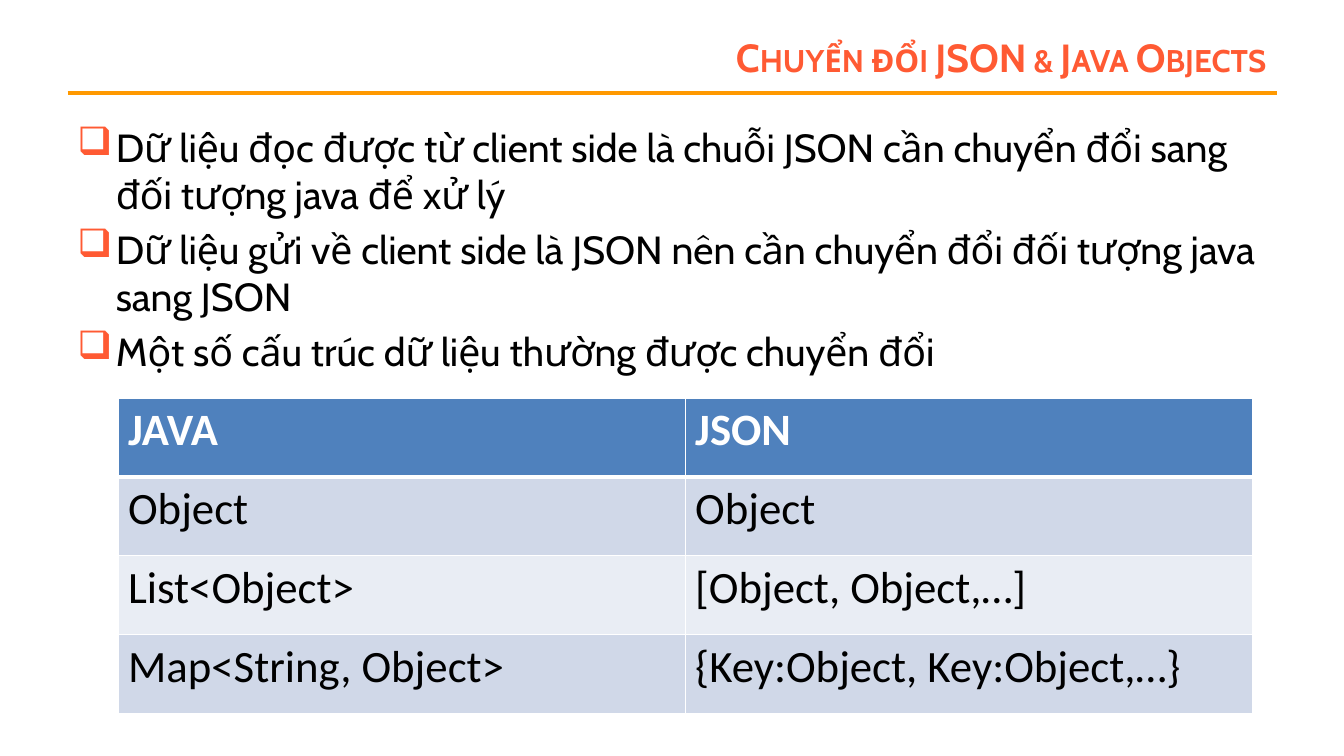
from dataclasses import dataclass

from lxml import etree
from pptx import Presentation
from pptx import util as u
from pptx.dml.color import RGBColor
from pptx.enum import shapes, text
from pptx.oxml import ns


@dataclass(frozen=True)
class Theme:
    accent: str = "FF5A33"
    rule: str = "FF9900"
    ink: str = "000000"
    white: str = "FFFFFF"
    header: str = "4F81BD"
    bands: tuple = ("D0D8E8", "E9EDF4")
    font: str = "Cabin"
    table_font: str = "Calibri"
    text_size: int = 28
    table_size: int = 32


THEME = Theme()

TITLE = "Chuyển đổi JSON & Java Objects"
POINTS = [
    "Dữ liệu đọc được từ client side là chuỗi JSON cần chuyển đổi sang đối tượng java để xử lý",
    "Dữ liệu gửi về client side là JSON nên cần chuyển đổi đối tượng java sang JSON",
    "Một số cấu trúc dữ liệu thường được chuyển đổi",
]
MAPPINGS = [
    ("JAVA", "JSON"),
    ("Object", "Object"),
    ("List<Object>", "[Object, Object,…]"),
    ("Map<String, Object>", "{Key:Object, Key:Object,…}"),
]


def box(left, top, width, height):
    return [u.Inches(value) for value in (left, top, width, height)]


def add_xml(parent, tag, **attributes):
    return etree.SubElement(parent, ns.qn(tag), attributes)


def write(paragraph, words, *, font=THEME.font, size=THEME.text_size,
          color=THEME.ink, bold=False, align=None, small_caps=False):
    run = paragraph.add_run()
    run.text = words
    run.font.name = font
    run.font.size = u.Pt(size)
    run.font.bold = bold
    run.font.color.rgb = RGBColor.from_string(color)
    if align is not None:
        paragraph.alignment = align
    if small_caps:
        run.font._element.set("cap", "small")


def add_title(slide):
    title = slide.shapes.title
    title.left, title.top, title.width, title.height = box(2.44, 0.3, 10.22, 0.53)
    frame = title.text_frame
    frame.auto_size = text.MSO_AUTO_SIZE.NONE
    frame.vertical_anchor = text.MSO_ANCHOR.MIDDLE
    write(frame.paragraphs[0], TITLE, color=THEME.accent, bold=True,
          align=text.PP_ALIGN.RIGHT, small_caps=True)


def add_rule(slide):
    start_x, end_x, y = (u.Inches(value) for value in (0.67, 12.67, 0.92))
    rule = slide.shapes.add_connector(
        shapes.MSO_CONNECTOR.STRAIGHT, start_x, y, end_x, y)
    rule.line.color.rgb = RGBColor.from_string(THEME.rule)
    rule.line.width = u.Pt(3)
    add_xml(rule._element.spPr, "a:effectLst")


def add_bullet(paragraph):
    indent = u.Inches(0.38)
    properties = paragraph._p.get_or_add_pPr()
    properties.set("marL", str(indent))
    properties.set("indent", str(-indent))
    color = add_xml(properties, "a:buClr")
    add_xml(color, "a:srgbClr", val=THEME.accent)
    add_xml(properties, "a:buChar", char="❑")


def add_points(slide):
    frame = slide.shapes.add_textbox(*box(0.67, 1.17, 12, 2.75)).text_frame
    frame.word_wrap = True
    for index, point in enumerate(POINTS):
        paragraph = frame.add_paragraph() if index else frame.paragraphs[0]
        paragraph.space_before = u.Pt(0.2 * THEME.text_size)
        add_bullet(paragraph)
        write(paragraph, point)


def add_borders(cell, **widths):
    """Draw white borders; each keyword is a side (L, R, T, B) and its points."""
    properties = cell._tc.get_or_add_tcPr()
    for side, points in widths.items():
        line = add_xml(properties, f"a:ln{side}", w=str(u.Pt(points)))
        add_xml(add_xml(line, "a:solidFill"), "a:srgbClr", val=THEME.white)


def add_mapping_table(slide):
    table = slide.shapes.add_table(
        len(MAPPINGS), len(MAPPINGS[0]), *box(1.17, 3.95, 11.25, 3.13)).table
    for row, entries in enumerate(MAPPINGS):
        is_header = row == 0
        fill = THEME.header if is_header else THEME.bands[(row - 1) % 2]
        for column, entry in enumerate(entries):
            cell = table.cell(row, column)
            add_borders(cell, L=1, R=1, T=3 if row == 1 else 1, B=3 if is_header else 1)
            cell.fill.solid()
            cell.fill.fore_color.rgb = RGBColor.from_string(fill)
            write(cell.text_frame.paragraphs[0], entry, font=THEME.table_font,
                  size=THEME.table_size, bold=is_header,
                  color=THEME.white if is_header else THEME.ink)


def main():
    deck = Presentation()
    deck.slide_width, deck.slide_height = u.Inches(13.33), u.Inches(7.5)
    slide = deck.slides.add_slide(deck.slide_layouts.get_by_name("Title Only"))
    add_rule(slide)
    add_title(slide)
    add_points(slide)
    add_mapping_table(slide)
    deck.save("out.pptx")


if __name__ == "__main__":
    main()
